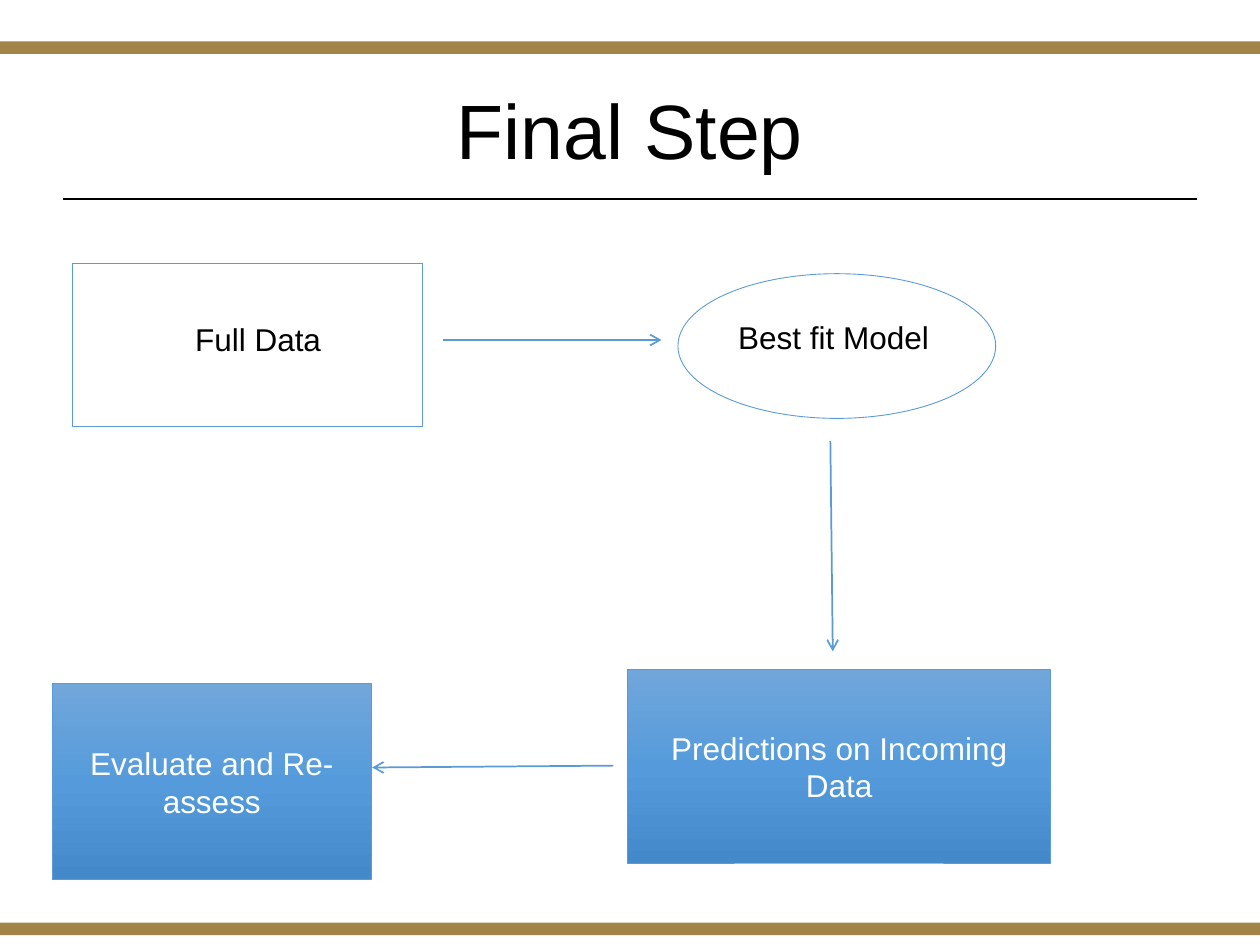
import copy
from dataclasses import dataclass

import pptx
import pptx.dml.color
import pptx.enum.shapes
import pptx.enum.text
import pptx.oxml
import pptx.oxml.ns
import pptx.util

Pt = pptx.util.Pt
Shape = pptx.enum.shapes.MSO_SHAPE
Anchor = pptx.enum.text.MSO_ANCHOR
Align = pptx.enum.text.PP_ALIGN

PAGE_WIDTH, PAGE_HEIGHT = 720, 540
FONT = "Arial"
BLACK, WHITE, GOLD, BLUE = "000000", "FFFFFF", "A28448", "5B9BD5"
BLUE_GRADIENT = ((0, "71A6DB"), (0.5, "559BDB"), (1, "448ACA"))


@dataclass(frozen=True)
class Area:
    left: float
    top: float
    width: float
    height: float

    def lengths(self) -> list:
        return [Pt(value) for value in (self.left, self.top, self.width, self.height)]


@dataclass(frozen=True)
class Step:
    """A box of the flow; it is filled and holds its text unless it has a label area."""
    text: str
    area: Area
    kind: Shape = Shape.RECTANGLE
    label: Area | None = None


@dataclass(frozen=True)
class Line:
    start: tuple[float, float]
    end: tuple[float, float]
    color: str = BLUE
    width: float = 1
    arrow: bool = True


BARS = [Area(0, top, PAGE_WIDTH, 7.2) for top in (527.2, 23.6)]
STEPS = [
    Step("Full Data", Area(41.5, 150.5, 200, 93.5), label=Area(104.4, 179.5, 87, 29)),
    Step("Best fit Model", Area(387.4, 156.4, 181.6, 82.7), Shape.OVAL,
         label=Area(414.7, 178.2, 124.6, 29)),
    Step("Predictions on Incoming Data", Area(358.5, 382.7, 242, 110.5)),
    Step("Evaluate and Re-assess", Area(30, 390.6, 182, 112)),
]
LINES = [
    Line((36, 113.7), (684, 113.7), BLACK, 1.25, arrow=False),
    Line((253, 194.3), (378, 194.3)),
    Line((474.5, 252), (475.9, 372.2)),
    Line((350.5, 437.5), (212.7, 438.6)),
]


def rgb(color: str) -> pptx.dml.color.RGBColor:
    return pptx.dml.color.RGBColor.from_string(color)


def write(frame, text: str, *, size: float = 18, color: str = BLACK,
          align: Align | None = None, spacing: float | None = None,
          anchor: Anchor = Anchor.TOP, wrap: bool = True) -> None:
    frame.word_wrap = wrap
    frame.vertical_anchor = anchor
    para = frame.paragraphs[0]
    para.alignment = align
    para.line_spacing = spacing
    span = para.add_run()
    span.text = text
    span.font.name = FONT
    span.font.size = Pt(size)
    span.font.color.rgb = rgb(color)


def fill_gradient(shape, stops: tuple) -> None:
    """Fill from top to bottom with any number of stops."""
    shape.fill.gradient()
    shape.fill.gradient_angle = 270
    stop_list = shape.fill.gradient_stops[0]._gs.getparent()
    while len(stop_list) < len(stops):
        stop_list.append(copy.deepcopy(stop_list[0]))
    for stop, (position, color) in zip(shape.fill.gradient_stops, stops):
        stop.position = position
        stop.color.rgb = rgb(color)


def add_bar(page, area: Area) -> None:
    bar = page.shapes.add_shape(Shape.RECTANGLE, *area.lengths())
    bar.shadow.inherit = False
    bar.fill.solid()
    bar.fill.fore_color.rgb = rgb(GOLD)
    bar.line.fill.background()


def add_step(page, step: Step) -> None:
    shape = page.shapes.add_shape(step.kind, *step.area.lengths())
    shape.shadow.inherit = False
    shape.line.color.rgb = rgb(BLUE)
    shape.line.width = Pt(0.5)
    if step.label is None:
        fill_gradient(shape, BLUE_GRADIENT)
        write(shape.text_frame, step.text, color=WHITE, align=Align.CENTER,
              anchor=Anchor.MIDDLE)
    else:
        shape.fill.background()
        box = page.shapes.add_textbox(*step.label.lengths())
        box.text_frame.auto_size = pptx.enum.text.MSO_AUTO_SIZE.SHAPE_TO_FIT_TEXT
        write(box.text_frame, step.text, wrap=False)


def add_line(page, line: Line) -> None:
    points = [Pt(value) for value in line.start + line.end]
    connector = page.shapes.add_connector(
        pptx.enum.shapes.MSO_CONNECTOR.STRAIGHT, *points)
    connector.line.color.rgb = rgb(line.color)
    connector.line.width = Pt(line.width)
    if line.arrow:
        head = pptx.oxml.parse_xml(
            f'<a:tailEnd {pptx.oxml.ns.nsdecls("a")} type="arrow"/>')
        connector.line._get_or_add_ln().append(head)
    no_shadow = pptx.oxml.parse_xml(f'<a:effectLst {pptx.oxml.ns.nsdecls("a")}/>')
    connector._element.spPr.append(no_shadow)


def add_title(page, text: str, area: Area) -> None:
    title = page.shapes.title
    title.left, title.top, title.width, title.height = area.lengths()
    write(title.text_frame, text, size=44, align=Align.CENTER, spacing=0.9,
          anchor=Anchor.MIDDLE)


def main() -> None:
    deck = pptx.Presentation()
    deck.slide_width, deck.slide_height = Pt(PAGE_WIDTH), Pt(PAGE_HEIGHT)
    title_only = deck.slide_layouts.get_by_name("Title Only")
    page = deck.slides.add_slide(title_only)
    for bar in BARS:
        add_bar(page, bar)
    add_title(page, "Final Step", Area(49.5, 24.5, 621, 104.4))
    for step in STEPS:
        add_step(page, step)
    for line in LINES:
        add_line(page, line)
    deck.save("out.pptx")


if __name__ == "__main__":
    main()
